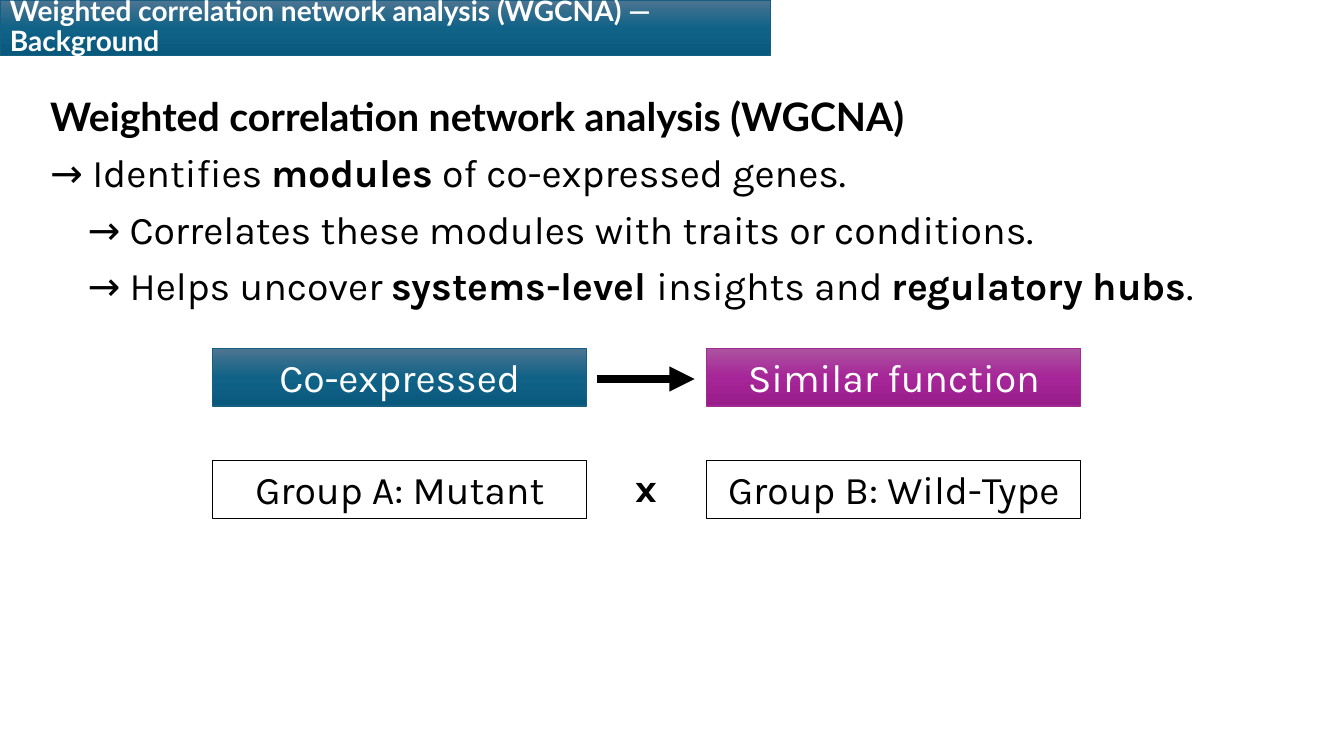
"""Build the WGCNA background slide."""
from copy import deepcopy
from dataclasses import dataclass

from pptx import Presentation
from pptx import util as u
from pptx.dml.color import RGBColor
from pptx.enum import shapes, text
from pptx.oxml import ns, xmlchemy

BLACK = RGBColor(0x00, 0x00, 0x00)
WHITE = RGBColor(0xFF, 0xFF, 0xFF)
TEAL = RGBColor(0x15, 0x60, 0x82)
PURPLE = RGBColor(0xA0, 0x2B, 0x93)
TEAL_STOPS = (RGBColor(0x4C, 0x75, 0x91), RGBColor(0x10, 0x62, 0x87), RGBColor(0x09, 0x59, 0x7D))
PURPLE_STOPS = (RGBColor(0xAC, 0x53, 0xA0), RGBColor(0xA6, 0x25, 0x98), RGBColor(0x99, 0x1C, 0x8B))

LEFT_X, RIGHT_X = 2.11, 7.01
BOX_W, BOX_H = 3.71, 0.57
TOP_ROW, BOTTOM_ROW = 3.46, 4.57


@dataclass
class Box:
    label: str
    x: float
    y: float
    w: float = BOX_W
    h: float = BOX_H
    stops: tuple[RGBColor, ...] = ()
    line: RGBColor = BLACK
    line_width: float = 0.75
    color: RGBColor = BLACK


@dataclass
class Line:
    runs: list[tuple[str, bool]]
    font: str = "Karla"
    indent: float = 0
    space_before: float = 10


BANNER = Box("Weighted correlation network analysis (WGCNA) — Background",
             0, 0, 7.64, 0.55, TEAL_STOPS, TEAL, 1, WHITE)
BOXES = [
    Box("Co-expressed", LEFT_X, TOP_ROW, stops=TEAL_STOPS, line=TEAL, line_width=1, color=WHITE),
    Box("Similar function", RIGHT_X, TOP_ROW, stops=PURPLE_STOPS, line=PURPLE, line_width=1, color=WHITE),
    Box("Group A: Mutant", LEFT_X, BOTTOM_ROW),
    Box("Group B: Wild-Type", RIGHT_X, BOTTOM_ROW),
]
BODY = [
    Line([("Weighted correlation network analysis (WGCNA)", True)], font="Lato", space_before=0),
    Line([("→ Identifies ", False), ("modules", True), (" of co-expressed genes.", False)]),
    Line([("→ Correlates these modules with traits or conditions.", False)], indent=0.37),
    Line([("→ Helps uncover ", False), ("systems-level ", True), ("insights and ", False),
          ("regulatory hubs", True), (".", False)], indent=0.37),
]


def add_run(p, label: str, *, font: str = "Karla", size: float = 28,
            color: RGBColor = BLACK, bold: bool = False) -> None:
    """Append one formatted run to a paragraph."""
    r = p.add_run()
    r.text = label
    r.font.name, r.font.size, r.font.bold = font, u.Pt(size), bold
    r.font.color.rgb = color


def add_box(slide, box: Box, *, align=text.PP_ALIGN.CENTER, anchor=text.MSO_ANCHOR.TOP,
            spacing: float = 1.0, **style) -> None:
    """Draw a labelled rectangle with a vertical gradient or no fill."""
    s = slide.shapes.add_shape(shapes.MSO_SHAPE.RECTANGLE, u.Inches(box.x), u.Inches(box.y),
                               u.Inches(box.w), u.Inches(box.h))
    s.shadow.inherit = False
    if box.stops:
        s.fill.gradient()
        s.fill.gradient_angle = 270
        stop_list = s._element.spPr.find(ns.qn("a:gradFill")).find(ns.qn("a:gsLst"))
        stop_list.append(deepcopy(stop_list[0]))
        for stop, color, position in zip(s.fill.gradient_stops, box.stops, (0, 0.5, 1)):
            stop.color.rgb = color
            stop.position = position
    else:
        s.fill.background()
    s.line.color.rgb = box.line
    s.line.width = u.Pt(box.line_width)
    tf = s.text_frame
    tf.word_wrap = True
    tf.vertical_anchor = anchor
    p = tf.paragraphs[0]
    p.alignment, p.line_spacing = align, spacing
    add_run(p, box.label, color=box.color, **style)


def add_text_frame(slide, x: float, y: float, w: float, h: float):
    """Add a wrapping text box and return its text frame."""
    tf = slide.shapes.add_textbox(u.Inches(x), u.Inches(y), u.Inches(w), u.Inches(h)).text_frame
    tf.word_wrap = True
    return tf


def add_body(slide) -> None:
    """Write the heading and its arrowed points."""
    tf = add_text_frame(slide, 0.4, 0.92, 12.4, 4.76)
    for i, line in enumerate(BODY):
        p = tf.add_paragraph() if i else tf.paragraphs[0]
        p.line_spacing = 0.9
        p.space_before = u.Pt(line.space_before)
        if line.indent:
            p._p.get_or_add_pPr().set("marL", str(u.Inches(line.indent)))
        for label, bold in line.runs:
            add_run(p, label, font=line.font, bold=bold)


def add_arrow(slide, x1: float, x2: float, y: float) -> None:
    """Draw a thick horizontal arrow."""
    s = slide.shapes.add_connector(shapes.MSO_CONNECTOR.STRAIGHT, u.Inches(x1), u.Inches(y),
                                   u.Inches(x2), u.Inches(y))
    s.line.color.rgb = BLACK
    s.line.width = u.Pt(6)
    s.line._get_or_add_ln().append(xmlchemy.OxmlElement("a:tailEnd"))
    s.line._get_or_add_ln()[-1].set("type", "triangle")
    s._element.spPr.append(xmlchemy.OxmlElement("a:effectLst"))


def main() -> None:
    """Assemble and save the slide."""
    prs = Presentation()
    prs.slide_width, prs.slide_height = u.Inches(13.33), u.Inches(7.5)
    slide = prs.slides.add_slide(prs.slide_layouts[6])
    add_box(slide, BANNER, align=text.PP_ALIGN.LEFT, anchor=text.MSO_ANCHOR.MIDDLE,
            spacing=0.9, font="Lato", size=20, bold=True)
    add_body(slide)
    for box in BOXES:
        add_box(slide, box)
    add_arrow(slide, 5.92, 6.89, 3.76)
    p = add_text_frame(slide, 4.56, 4.55, BOX_W, BOX_H).paragraphs[0]
    p.alignment = text.PP_ALIGN.CENTER
    add_run(p, "x", bold=True)
    prs.save("out.pptx")


if __name__ == "__main__":
    main()
